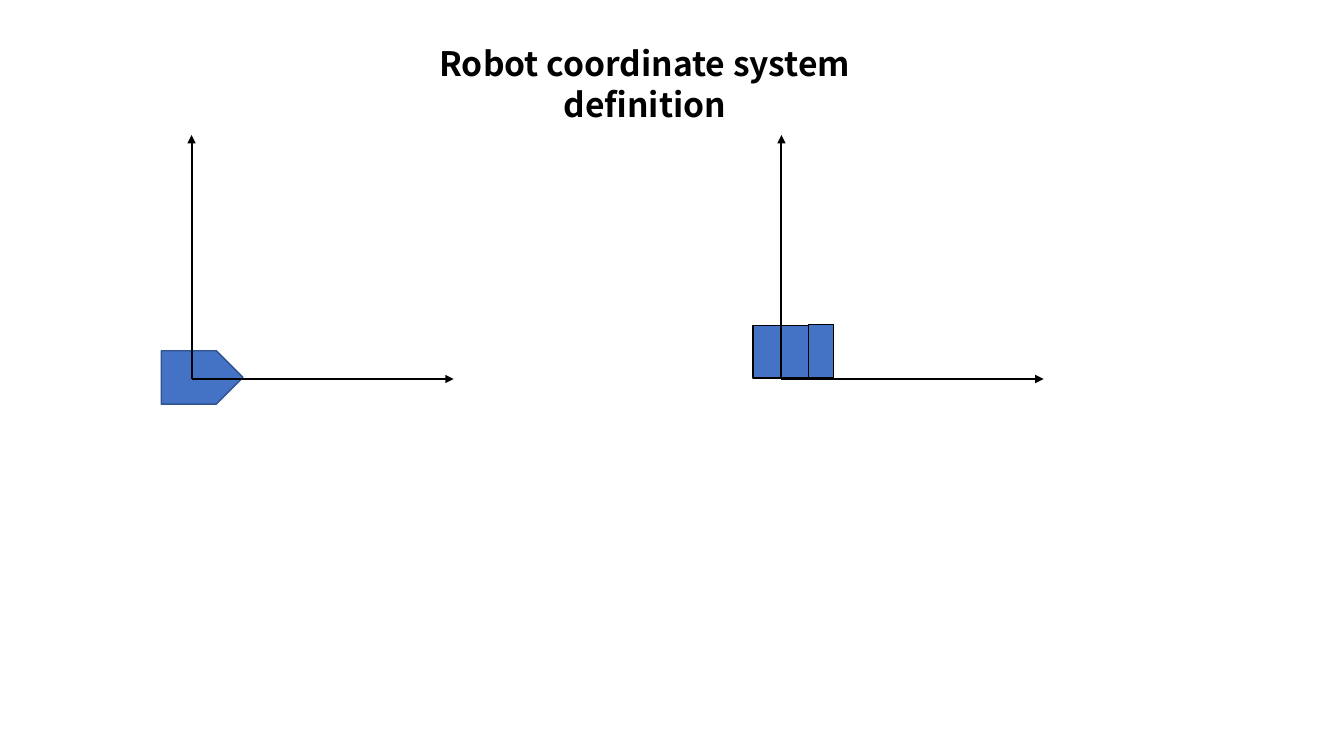
from pptx import Presentation
from pptx.dml.color import RGBColor
from pptx.enum.shapes import MSO_CONNECTOR as Connector, MSO_SHAPE as Shape
from pptx.enum.text import MSO_ANCHOR as Anchor, MSO_AUTO_SIZE as AutoSize, PP_ALIGN as Align
from pptx.oxml.ns import qn
from pptx.util import Inches, Pt
from lxml.etree import SubElement

SLIDE_SIZE = (13.33, 7.5)
TITLE_BOX = (3.42, 0.37, 5.95, 0.5)
TITLE_FONT = {"name": "Noto Sans CJK JP", "size": Pt(24), "bold": True}
BLACK, BLUE, NAVY = "000000", "4472C4", "325491"

# Axis lengths, shared by both views
AXIS_X, AXIS_Y = 2.6, 2.42

# Each view: origin, then body parts as (shape, offset from origin and size, outline)
TOP_VIEW = ((1.9, 3.76), [(Shape.PENTAGON, (-0.3, -0.28, 0.81, 0.53), NAVY)])
SIDE_VIEW = ((7.75, 3.76), [
    (Shape.RECTANGLE, (-0.28, -0.53, 0.55, 0.52), BLACK),
    (Shape.RECTANGLE, (0.27, -0.54, 0.25, 0.53), BLACK),
])


def color(hex_string):
    return RGBColor.from_string(hex_string)


def add_title(slide, box, text):
    title = slide.shapes.title
    title.left, title.top, title.width, title.height = map(Inches, box)
    frame = title.text_frame
    frame_format = {
        "word_wrap": True, "auto_size": AutoSize.NONE, "vertical_anchor": Anchor.TOP,
        "margin_left": Inches(0.4), "margin_right": Inches(0.4),
        "margin_top": Inches(0.05), "margin_bottom": Inches(0.05),
    }
    for attribute, value in frame_format.items():
        setattr(frame, attribute, value)
    frame.text = text
    heading = frame.paragraphs[0]
    heading.alignment = Align.CENTER
    heading.line_spacing = Pt(29.3)
    font = heading.runs[0].font
    for attribute, value in TITLE_FONT.items():
        setattr(font, attribute, value)
    font.color.rgb = color(BLACK)


def add_axis(slide, start, end):
    axis = slide.shapes.add_connector(Connector.STRAIGHT, *map(Inches, start + end))
    axis.line.color.rgb = color(BLACK)
    axis.line.width = Pt(1.5)
    # Arrowhead at the end, no shadow
    SubElement(axis.line._get_or_add_ln(), qn("a:tailEnd"), type="triangle")
    SubElement(axis._element.spPr, qn("a:effectLst"))


def add_view(slide, origin, body_parts):
    x, y = origin
    # Robot body
    for preset, (dx, dy, width, height), outline in body_parts:
        part = slide.shapes.add_shape(preset, *map(Inches, (x + dx, y + dy, width, height)))
        part.shadow.inherit = False
        part.fill.solid()
        part.fill.fore_color.rgb = color(BLUE)
        part.line.color.rgb = color(outline)
        part.line.width = Pt(1)
    # Horizontal and vertical axes
    add_axis(slide, origin, (x + AXIS_X, y))
    add_axis(slide, origin, (x, y - AXIS_Y))


def main():
    deck = Presentation()
    deck.slide_width, deck.slide_height = map(Inches, SLIDE_SIZE)
    slide = deck.slides.add_slide(deck.slide_layouts[5])
    add_title(slide, TITLE_BOX, "Robot coordinate system definition")
    for view in (TOP_VIEW, SIDE_VIEW):
        add_view(slide, *view)
    deck.save("out.pptx")


if __name__ == "__main__":
    main()
